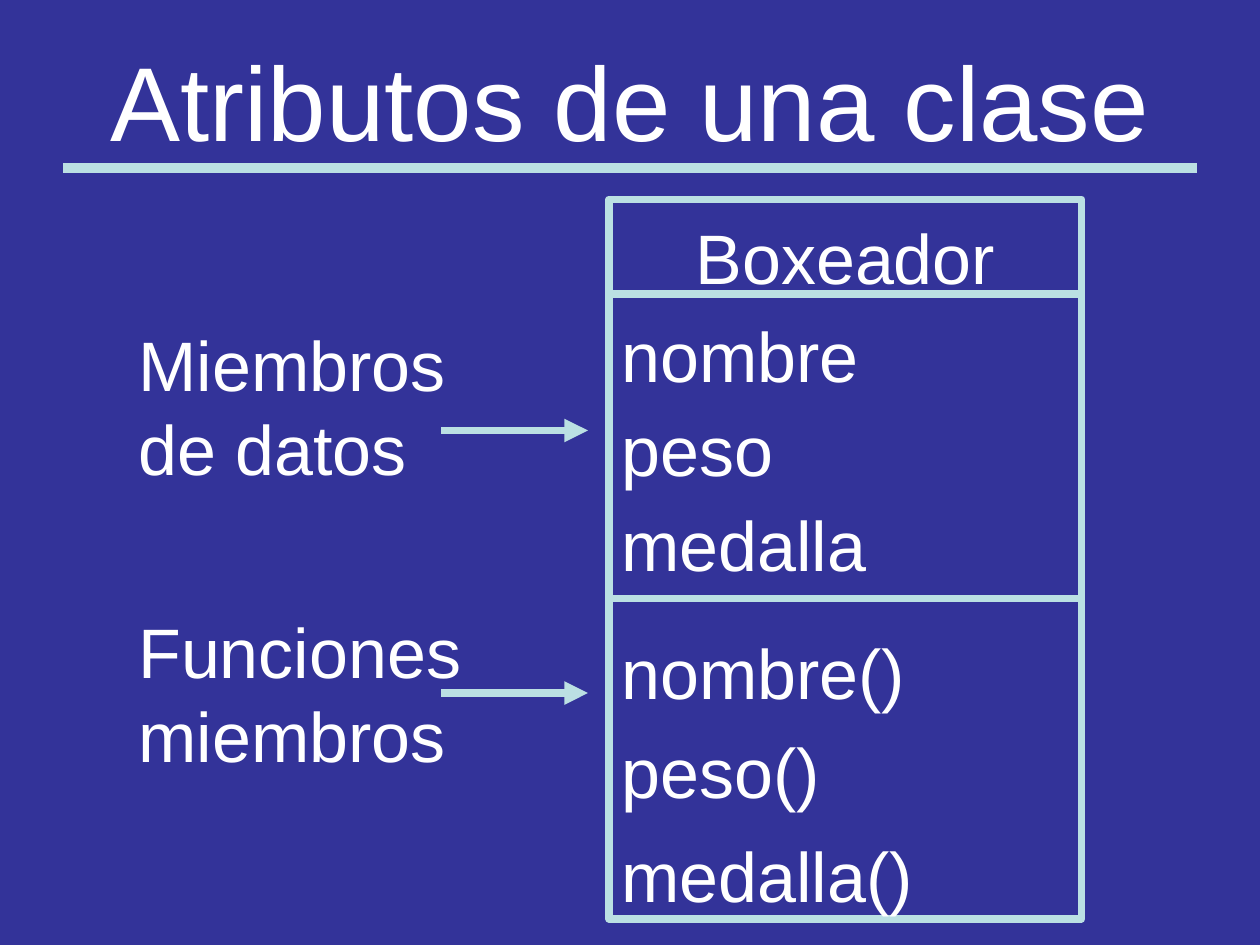
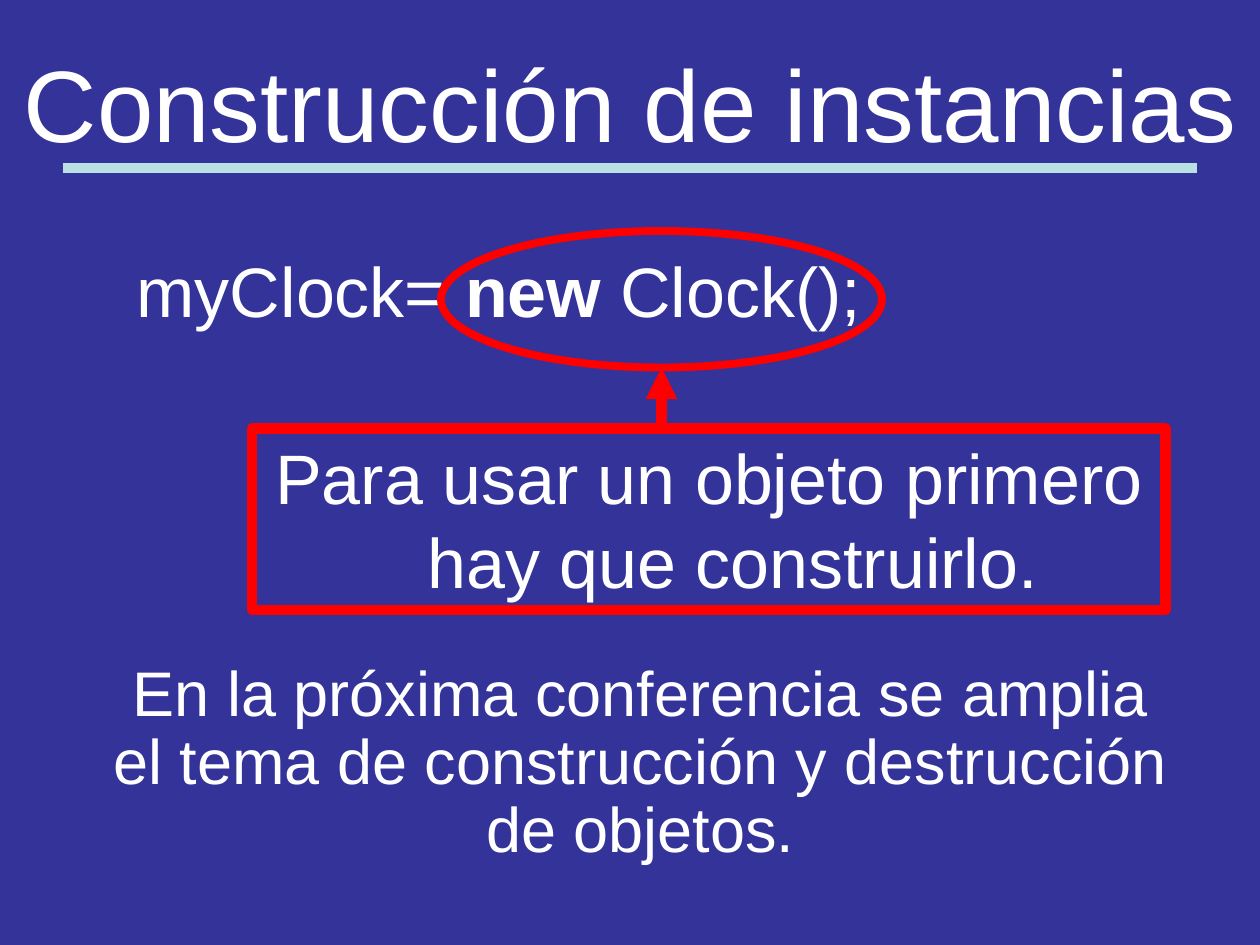
from dataclasses import dataclass

from lxml.etree import SubElement as Sub
from pptx import Presentation
from pptx.dml.color import RGBColor as RGB
from pptx.enum.shapes import MSO_CONNECTOR as Link, MSO_SHAPE as Shape
from pptx.enum.text import MSO_ANCHOR as Anchor, PP_ALIGN as Align
from pptx.oxml.ns import qn
from pptx.util import Inches, Pt


@dataclass(frozen=True)
class Theme:
    """Colours, font, type sizes, line widths and grid of the deck."""
    back: str = "333399"
    ink: str = "FFFFFF"
    pale: str = "BBE0E3"
    red: str = "FF0000"
    font: str = "Arial"
    title: int = 60
    body: int = 40
    note: int = 36
    lead: float = 1.2
    thin: float = 4.5
    thick: float = 6
    cols: int = 120
    rows: int = 90


T = Theme()


def grid(*cells):
    """Turn grid steps of a twelfth of an inch into lengths."""
    return [Inches(cell / 12) for cell in cells]


def write(frame, paras, size=T.body, align=Align.LEFT, anchor=Anchor.TOP,
          lead=T.lead, gaps=(), bold=(), hang=0):
    """Fill a frame with paragraphs, each a list of runs, and format them."""
    frame.word_wrap = True
    frame.vertical_anchor = anchor
    frame.margin_bottom = Inches(0.05)
    for i, runs in enumerate(paras):
        para = frame.paragraphs[0] if i == 0 else frame.add_paragraph()
        para.alignment = align
        para.line_spacing = Pt(size * lead)
        para.space_before = Pt(gaps[i] if gaps else 0)
        if hang:
            prop = para._p.get_or_add_pPr()
            prop.set("marL", str(Inches(hang)))
            prop.set("indent", str(-Inches(hang)))
        for words in runs:
            run = para.add_run()
            run.text = words
            font = run.font
            font.name, font.size = T.font, Pt(size)
            font.bold = words in bold
            font.color.rgb = RGB.from_string(T.ink)


def text(slide, box, paras, **form):
    """Add a text box on the grid."""
    write(slide.shapes.add_textbox(*grid(*box)).text_frame, paras, **form)


def line(slide, start, end, color=T.pale, width=T.thin, arrow=False):
    """Add a straight line, with an arrowhead at its end if asked."""
    link = slide.shapes.add_connector(Link.STRAIGHT, *grid(*start, *end))
    link.line.color.rgb = RGB.from_string(color)
    link.line.width = Pt(width)
    if arrow:
        Sub(link.line._get_or_add_ln(), qn("a:tailEnd"), type="triangle")
    Sub(link._element.spPr, qn("a:effectLst"))


def ring(slide, kind, box, color=T.pale, width=T.thin):
    """Add an outlined shape without fill and return its text frame."""
    shape = slide.shapes.add_shape(kind, *grid(*box))
    shape.shadow.inherit = False
    shape.fill.background()
    shape.line.color.rgb = RGB.from_string(color)
    shape.line.width = Pt(width)
    return shape.text_frame


def page(deck, title, box, size=T.title):
    """Add a slide with the shared background, rule and title."""
    slide = deck.slides.add_slide(deck.slide_layouts[6])
    fill = slide.background.fill
    fill.solid()
    fill.fore_color.rgb = RGB.from_string(T.back)
    line(slide, (6, 16), (T.cols - 6, 16), width=T.thick)
    text(slide, box, [[title]], size=size, align=Align.CENTER,
         anchor=Anchor.MIDDLE)
    return slide


def members(deck):
    """Build the class diagram with its two labelled parts."""
    slide = page(deck, "Atributos de una clase", (6, 2, 108, 15))
    text(slide, (12, 30, 35, 50),
         [["Miembros de datos"], ["Funciones miembros"]], gaps=(0, 68))
    for row in (41, 66):
        line(slide, (42, row), (56, row), arrow=True)
    left, wide = 58, 45
    frame = ring(slide, Shape.RECTANGLE, (left, 19, wide, 68.5))
    names = ["nombre", "peso", "medalla"]
    rows = ["Boxeador", *names, *[name + "()" for name in names]]
    write(frame, [[row] for row in rows], gaps=(0, 8, 6, 6, 25, 9, 11))
    head = frame.paragraphs[0]
    head.alignment, head.line_spacing = Align.CENTER, Pt(53)
    for row in (28, 57):
        line(slide, (left, row), (left + wide, row))


def build(deck):
    """Build the slide on making an instance."""
    slide = page(deck, "Construcción de instancias",
                 (0, 2.25, T.cols, 15), size=58)
    text(slide, (11.85, 23, 95, 15), [["myClock= ", "new", " Clock();"]],
         bold=("new",))
    text(slide, (9, 62.4, 104, 20.6),
         [["En la próxima conferencia se amplia el tema de construcción "
           "y destrucción de objetos."]],
         size=T.note, align=Align.CENTER, lead=T.lead * 0.9)
    frame = ring(slide, Shape.RECTANGLE, (24, 40.8, 87, 17.3), T.red, T.thick)
    write(frame, [["Para usar un objeto primero hay que construirlo."]],
          align=Align.CENTER, hang=0.38)
    ring(slide, Shape.OVAL, (42, 22, 42, 13), T.red)
    line(slide, (63, 41), (63, 35), T.red, T.thick, arrow=True)


def main():
    """Build and save the deck."""
    deck = Presentation()
    deck.slide_width, deck.slide_height = grid(T.cols, T.rows)
    members(deck)
    build(deck)
    deck.save("out.pptx")


main()
